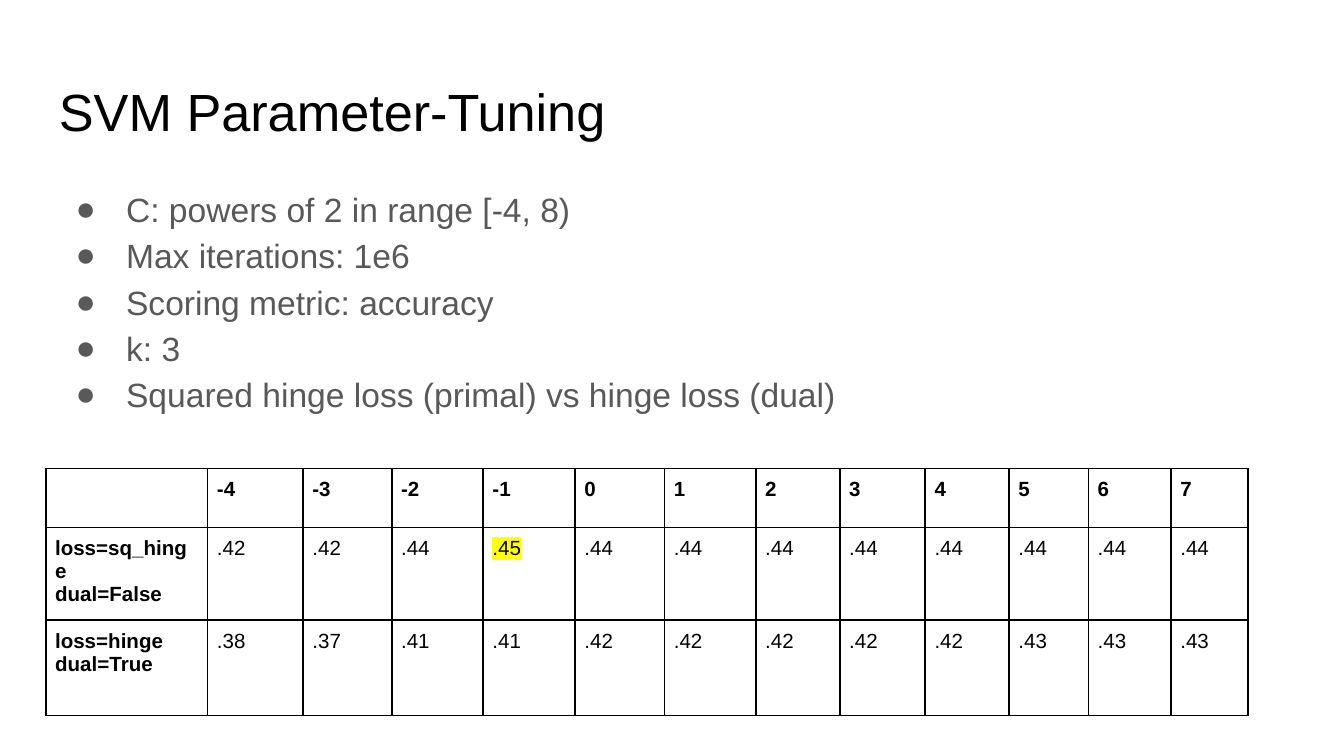
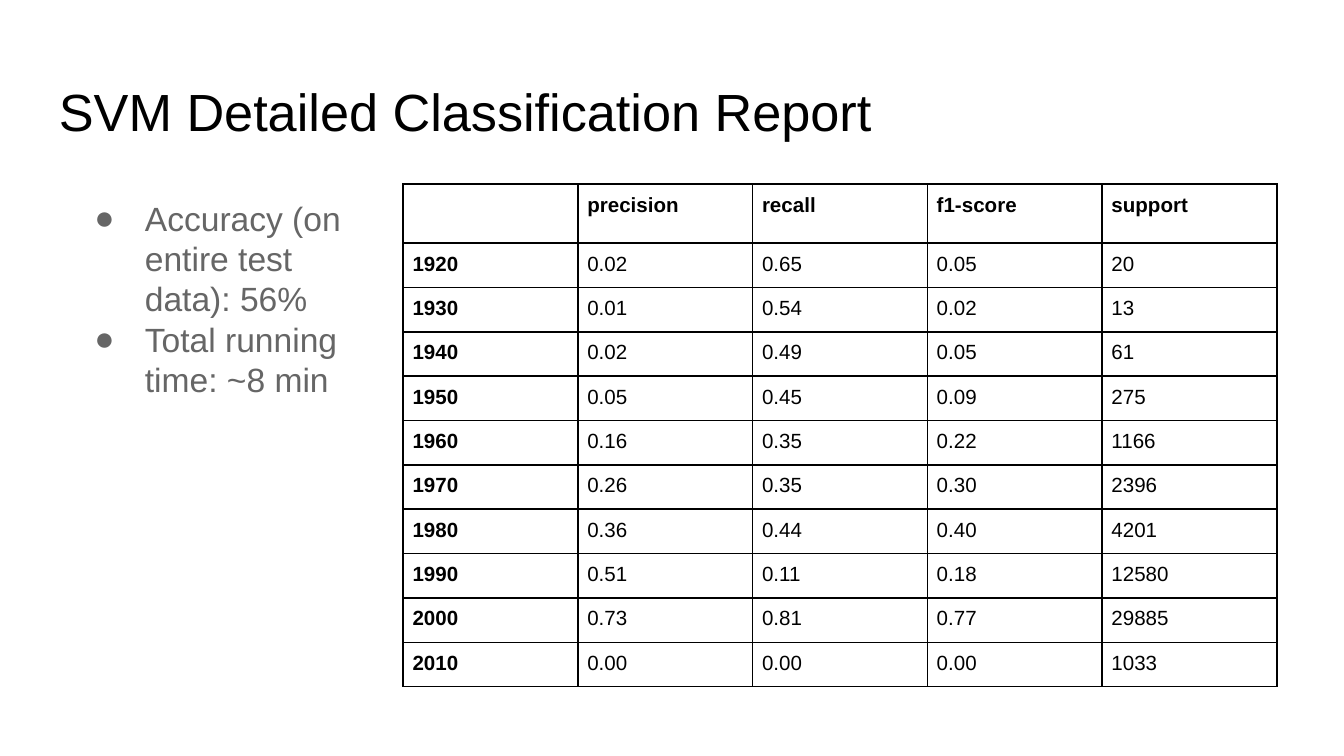
from lxml.etree import SubElement
from pptx import Presentation
from pptx.dml.color import RGBColor
from pptx.enum.text import MSO_ANCHOR as Anchor
from pptx.oxml.ns import qn
from pptx.util import Pt

PX = 4572
FONT = "Arial"
BLACK = RGBColor(0x00, 0x00, 0x00)
GRAY = RGBColor(0x59, 0x59, 0x59)
LIGHT_GRAY = RGBColor(0x66, 0x66, 0x66)
YELLOW = RGBColor(0xFF, 0xFF, 0x00)


def add_color(parent, tag, color):
    holder = SubElement(parent, qn(tag))
    SubElement(holder, qn("a:srgbClr"), val=str(color))
    return holder


class Slides:
    def __init__(self, width, height):
        self.deck = Presentation()
        self.deck.slide_width = width * PX
        self.deck.slide_height = height * PX
        self.page = None

    def start(self, title):
        self.page = self.deck.slides.add_slide(self.deck.slide_layouts[6])
        frame = self.text_frame(68, 98, 1864, 126)
        self.style(frame.paragraphs[0], title, 28, BLACK)

    def text_frame(self, left, top, width, height):
        box = self.page.shapes.add_textbox(left * PX, top * PX, width * PX, height * PX)
        frame = box.text_frame
        frame.word_wrap = True
        frame.vertical_anchor = Anchor.TOP
        frame.margin_left = frame.margin_right = 20 * PX
        frame.margin_top = frame.margin_bottom = 20 * PX
        return frame

    def style(self, para, text, size, color, bold=False):
        para.text = text
        font = para.font
        font.name, font.size, font.bold = FONT, Pt(size), bold
        font.color.rgb = color

    def bullets(self, left, top, width, height, items, color, spacing=1.0):
        frame = self.text_frame(left, top, width, height)
        for index, item in enumerate(items):
            para = frame.add_paragraph() if index else frame.paragraphs[0]
            para.line_spacing = spacing
            self.style(para, item, 18, color)
            props = para._p.get_or_add_pPr()
            props.set("marL", str(100 * PX))
            props.set("indent", str(-75 * PX))
            defaults = props.find(qn("a:defRPr"))
            for mark in (
                add_color(props, "a:buClr", color),
                SubElement(props, qn("a:buSzPts"), val="1800"),
                SubElement(props, qn("a:buFont"), typeface=FONT),
                SubElement(props, qn("a:buChar"), char="●"),
            ):
                defaults.addprevious(mark)

    def table(self, left, top, widths, heights, rows, marked=None):
        frame = self.page.shapes.add_table(
            len(rows), len(widths), left * PX, top * PX, sum(widths) * PX, sum(heights) * PX
        )
        table = frame.table
        table.first_row = table.horz_banding = False
        for column, width in zip(table.columns, widths):
            column.width = width * PX
        for row, height in zip(table.rows, heights):
            row.height = height * PX
        for i, values in enumerate(rows):
            for j, value in enumerate(values):
                self.cell(table.cell(i, j), value, i == 0 or j == 0)
        if marked:
            span = table.cell(*marked).text_frame.paragraphs[0].runs[0]
            add_color(span._r.get_or_add_rPr(), "a:highlight", YELLOW)

    def cell(self, cell, value, bold):
        cell.margin_left = cell.margin_right = 14 * PX
        cell.margin_top = cell.margin_bottom = 14 * PX
        props = cell._tc.get_or_add_tcPr()
        for side in "LRTB":
            line = SubElement(props, qn(f"a:ln{side}"), w=str(Pt(1)))
            add_color(line, "a:solidFill", BLACK)
        cell.fill.background()
        frame = cell.text_frame
        if not value:
            ending = SubElement(frame.paragraphs[0]._p, qn("a:endParaRPr"), sz="1800")
            SubElement(ending, qn("a:latin"), typeface=FONT)
            return
        for index, text in enumerate(value.split("\n")):
            para = frame.add_paragraph() if index else frame.paragraphs[0]
            self.style(para, text, 11, BLACK, bold)


def parameter_tuning(slides):
    slides.start("SVM Parameter-Tuning")
    slides.bullets(68, 252, 1792, 364, [
        "C: powers of 2 in range [-4, 8)",
        "Max iterations: 1e6",
        "Scoring metric: accuracy",
        "k: 3",
        "Squared hinge loss (primal) vs hinge loss (dual)",
    ], GRAY, 1.15)
    widths = [241, 142, 132, 136, 137, 133, 136, 125, 127, 125, 118, 123, 115]
    rows = [
        ["", *map(str, range(-4, 8))],
        ["loss=sq_hinge\ndual=False", ".42", ".42", ".44", ".45", *[".44"] * 8],
        ["loss=hinge\ndual=True", ".38", ".37", ".41", ".41", *[".42"] * 5, *[".43"] * 3],
    ]
    slides.table(68, 697, widths, [56, 116, 142], rows, marked=(1, 4))


def classification_report(slides):
    slides.start("SVM Detailed Classification Report")
    scores = [
        ["0.02", "0.65", "0.05", "20"],
        ["0.01", "0.54", "0.02", "13"],
        ["0.02", "0.49", "0.05", "61"],
        ["0.05", "0.45", "0.09", "275"],
        ["0.16", "0.35", "0.22", "1166"],
        ["0.26", "0.35", "0.30", "2396"],
        ["0.36", "0.44", "0.40", "4201"],
        ["0.51", "0.11", "0.18", "12580"],
        ["0.73", "0.81", "0.77", "29885"],
        ["0.00", "0.00", "0.00", "1033"],
    ]
    rows = [["", "precision", "recall", "f1-score", "support"]]
    rows += [[str(1920 + 10 * index), *score] for index, score in enumerate(scores)]
    slides.table(600, 274, [260] * 5, [64] + [66] * 10, rows)
    slides.bullets(96, 274, 448, 378, [
        "Accuracy (on entire test data): 56%",
        "Total running time: ~8 min",
    ], LIGHT_GRAY)


def main():
    slides = Slides(2000, 1125)
    parameter_tuning(slides)
    classification_report(slides)
    slides.deck.save("out.pptx")


if __name__ == "__main__":
    main()
